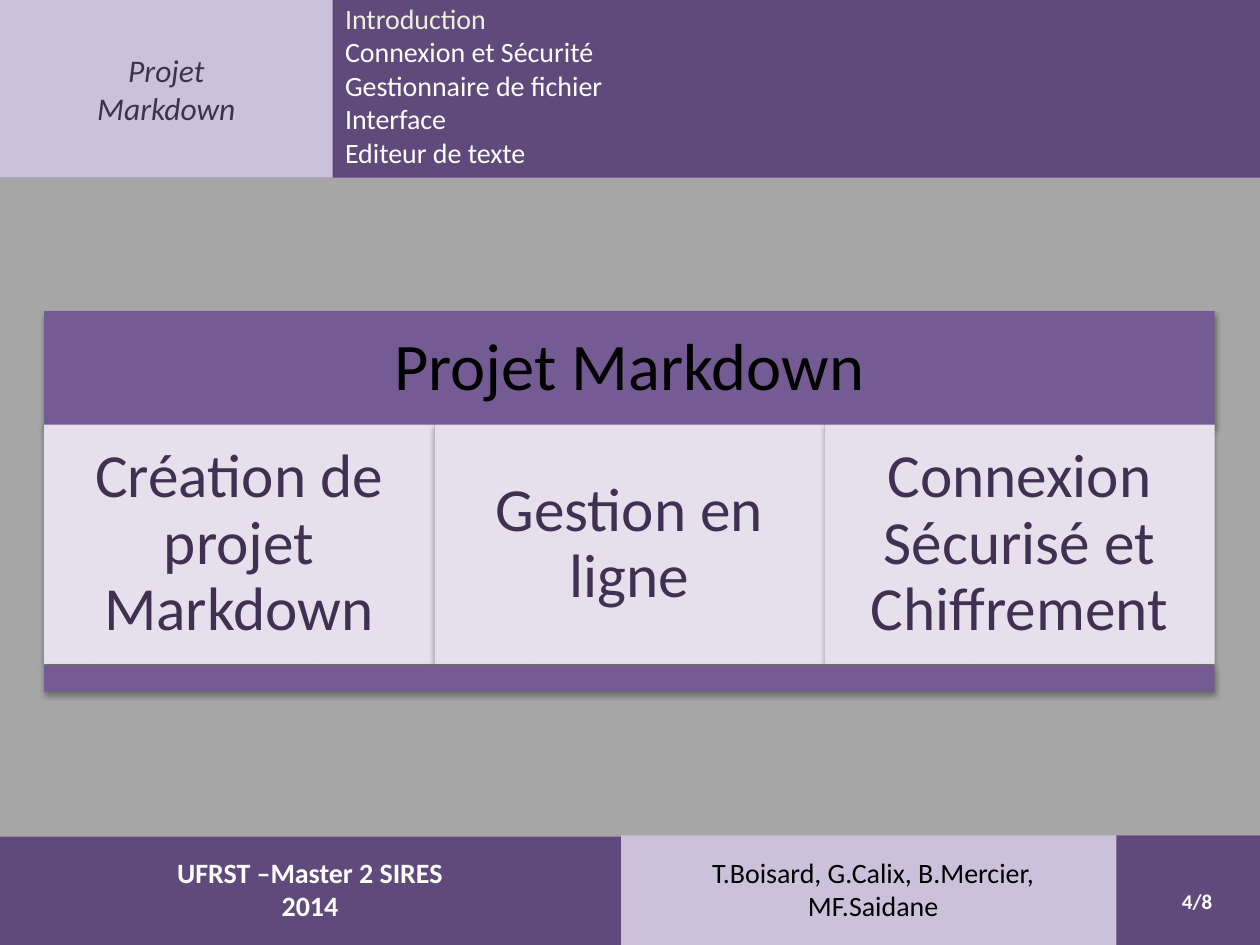
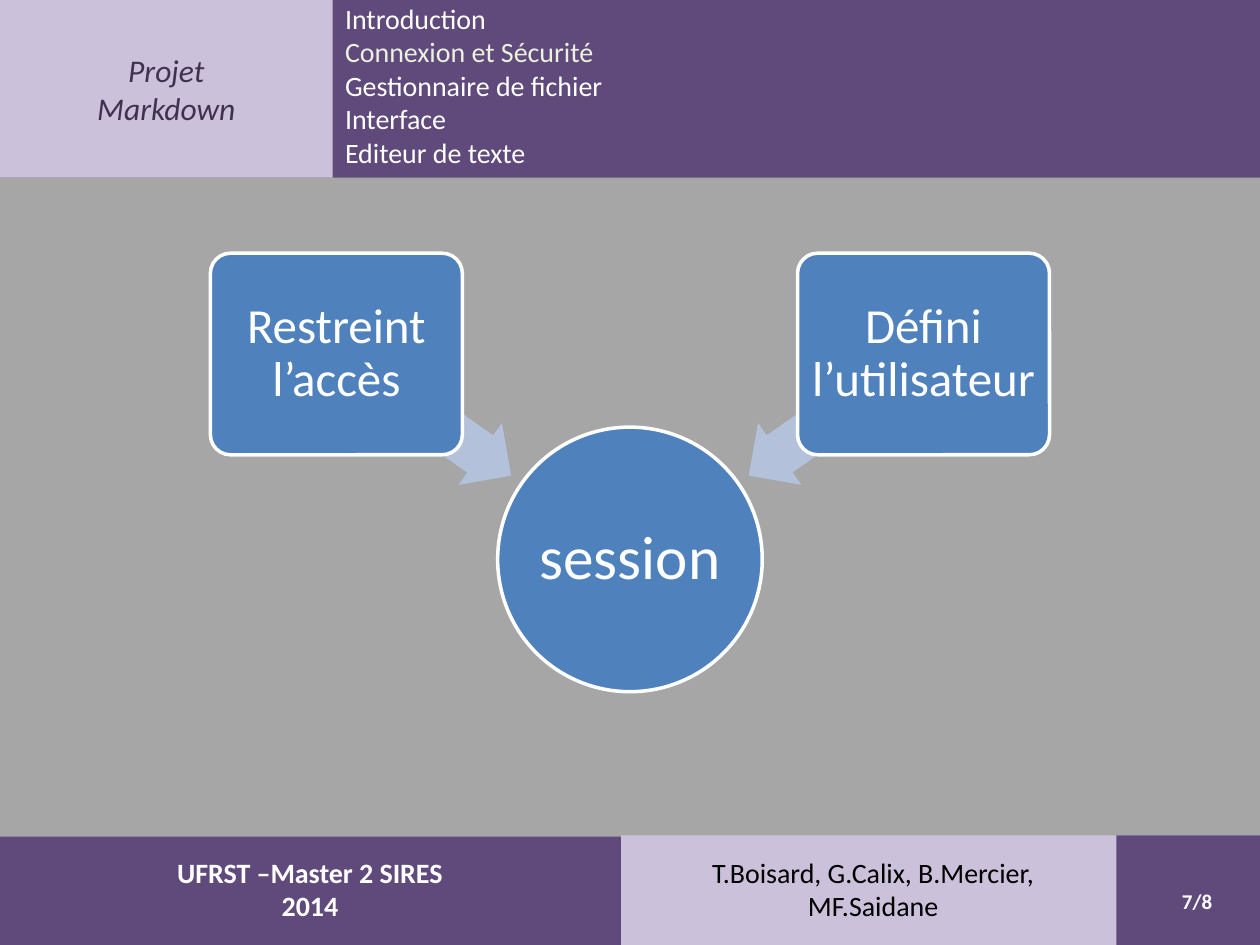
"""Builds two slides on a Markdown project: its parts and its session."""
from lxml.etree import SubElement
from pptx import Presentation
from pptx.dml.color import RGBColor
from pptx.enum.shapes import MSO_SHAPE as KIND
from pptx.enum.text import MSO_ANCHOR, MSO_AUTO_SIZE, PP_ALIGN
from pptx.oxml.ns import qn
from pptx.util import Inches, Pt

FONT = "Calibri"
DARK, PALE, GREY, INK = "604A7B", "CCC1DA", "A6A6A6", "403152"
WHITE, BLACK, GLOW = "FFFFFF", "000000", "EBF1DE"
PLUM, MIST, BLUE, SKY = "745B93", "E6E0EC", "4F81BD", "B3C1DB"

TITLE = ["Projet", "Markdown"]
MENU = ["Introduction", "Connexion et Sécurité", "Gestionnaire de fichier",
        "Interface", "Editeur de texte"]
SCHOOL = ["UFRST –Master 2 SIRES", "2014"]
TEAM = ["T.Boisard, G.Calix, B.Mercier, MF.Saidane"]
BANDS = [
    ((0, 0.48, 10, 6.87), GREY),
    ((0, 0, 10, 1.41), DARK),
    ((0, 6.64, 10, 0.86), DARK),
    ((4.93, 6.63, 5.07, 0.87), PALE),
    ((8.86, 6.63, 1.14, 0.87), DARK),
]
HEAD = "Projet Markdown"
PARTS = ["Création de projet Markdown", "Gestion en ligne",
         "Connexion Sécurisé et Chiffrement"]
HUB = "session"
ROLES = [("Restreint l’accès", 1.67, 2.52, 215),
         ("Défini l’utilisateur", 6.33, 5.79, 325)]


def color(code):
    return RGBColor.from_string(code)


def place(shape, box):
    shape.left, shape.top, shape.width, shape.height = map(Inches, box)


def write(shape, lines, size, tint, align=PP_ALIGN.CENTER, mid=True,
          pad=None, space=None, bold=False, slant=False, lit=None):
    frame = shape.text_frame
    frame.word_wrap = True
    frame.auto_size = MSO_AUTO_SIZE.NONE
    frame.vertical_anchor = MSO_ANCHOR.MIDDLE if mid else MSO_ANCHOR.TOP
    if pad is not None:
        frame.margin_left = frame.margin_right = Inches(pad)
        frame.margin_top = frame.margin_bottom = Inches(pad)
    for i, line in enumerate(lines):
        para = frame.add_paragraph() if i else frame.paragraphs[0]
        para.alignment = align
        if space:
            para.line_spacing = space
        run = para.add_run()
        run.text = line
        font = run.font
        font.name, font.size = FONT, Pt(size)
        font.bold, font.italic = bold, slant
        font.color.rgb = color(GLOW if i == lit else tint)


def draw(slide, kind, box, fill, line=None):
    shape = slide.shapes.add_shape(kind, *map(Inches, box))
    shape.shadow.inherit = False
    shape.fill.solid()
    shape.fill.fore_color.rgb = color(fill)
    if line:
        shape.line.color.rgb = color(line)
        shape.line.width = Pt(2)
    else:
        shape.line.fill.background()
    return shape


def shade(shape):
    effects = shape.element.spPr.find(qn("a:effectLst"))
    outer = SubElement(effects, qn("a:outerShdw"), blurRad=str(Pt(3.1)),
                       dist=str(Pt(1.8)), dir="5400000", rotWithShape="0")
    tone = SubElement(outer, qn("a:srgbClr"), val=BLACK)
    SubElement(tone, qn("a:alpha"), val="35000")


def label(slide, box, lines, *rest, **more):
    write(slide.shapes.add_textbox(*map(Inches, box)), lines, *rest, **more)


def start(deck, lit, page):
    slide = deck.slides.add_slide(deck.slide_layouts[5])
    for box, fill in BANDS:
        draw(slide, KIND.RECTANGLE, box, fill)
    title = slide.shapes.title
    place(title, (0, 0, 2.64, 1.41))
    title.fill.solid()
    title.fill.fore_color.rgb = color(PALE)
    write(title, TITLE, 18, INK, slant=True)
    title.element.getparent().append(title.element)
    label(slide, (0, 6.74, 4.92, 0.64), SCHOOL, 16, WHITE, mid=False, bold=True)
    label(slide, (5.08, 6.74, 3.7, 0.64), TEAM, 16, BLACK, mid=False)
    label(slide, (7.39, 6.95, 2.33, 0.4), [page], 12, WHITE,
          PP_ALIGN.RIGHT, bold=True)
    label(slide, (2.64, -0.04, 2.68, 1.45), MENU, 16, WHITE,
          PP_ALIGN.LEFT, mid=False, lit=lit)
    return slide


def parts(slide):
    left, wide = 0.35, 9.29
    head = draw(slide, KIND.RECTANGLE, (left, 2.47, wide, 0.91), PLUM)
    shade(head)
    write(head, [HEAD], 38, BLACK, pad=0.16, space=0.9)
    step = wide / len(PARTS)
    for i, part in enumerate(PARTS):
        cell = draw(slide, KIND.RECTANGLE,
                    (left + i * step, 3.37, step, 1.9), MIST)
        shade(cell)
        write(cell, [part], 35, INK, pad=0.15, space=0.9)
    shade(draw(slide, KIND.RECTANGLE, (left, 5.28, wide, 0.21), PLUM))


def session(slide):
    hub = draw(slide, KIND.OVAL, (3.95, 3.39, 2.1, 2.1), BLUE, WHITE)
    write(hub, [HUB], 35, WHITE, pad=0.02, space=0.9)
    for role, left, tail, turn in ROLES:
        arrow = draw(slide, KIND.LEFT_ARROW, (tail, 2.99, 1.69, 0.6), SKY)
        arrow.adjustments[0] = 0.6
        arrow.rotation = turn
        card = draw(slide, KIND.ROUNDED_RECTANGLE, (left, 2.01, 2, 1.6),
                    BLUE, WHITE)
        card.adjustments[0] = 0.1
        write(card, [role], 28, WHITE, pad=0.06, space=0.9)


deck = Presentation()
deck.slide_width, deck.slide_height = Inches(10), Inches(7.5)
parts(start(deck, 0, "4/8"))
session(start(deck, 1, "7/8"))
deck.save("out.pptx")
